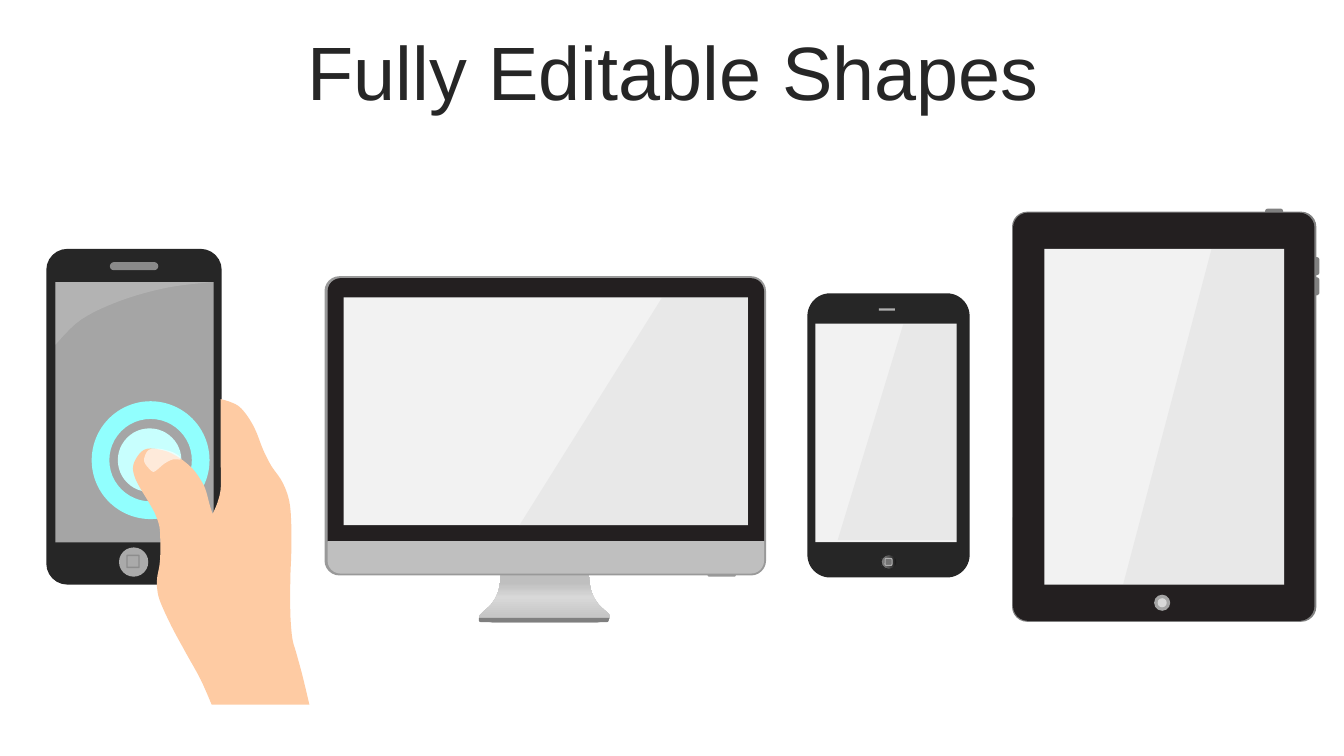
"""Build a slide of four device mock-ups: touch phone, monitor, phone and tablet."""
from dataclasses import dataclass
from typing import Optional, Union

from lxml.etree import SubElement
from pptx import Presentation
from pptx.dml.color import RGBColor
from pptx.enum.shapes import MSO_SHAPE
from pptx.enum.text import MSO_ANCHOR, PP_ALIGN
from pptx.oxml.ns import qn
from pptx.util import Pt

WHITE = RGBColor(0xFF, 0xFF, 0xFF)
PALE = RGBColor(0xF2, 0xF2, 0xF2)
MIST = RGBColor(0xEC, 0xEC, 0xEC)
LIGHT = RGBColor(0xD8, 0xD8, 0xD8)
SILVER = RGBColor(0xBF, 0xBF, 0xBF)
ASH = RGBColor(0xB0, 0xB0, 0xB0)
GREY = RGBColor(0xA5, 0xA5, 0xA5)
STEEL = RGBColor(0x99, 0x99, 0x99)
SLATE = RGBColor(0x80, 0x80, 0x80)
SHADE = RGBColor(0x7F, 0x7F, 0x7F)
ICON_GREY = RGBColor(0x73, 0x73, 0x73)
GRAPHITE = RGBColor(0x59, 0x59, 0x59)
INK = RGBColor(0x26, 0x26, 0x26)
BEZEL = RGBColor(0x23, 0x1F, 0x20)
NEAR_BLACK = RGBColor(0x0F, 0x0F, 0x0F)
AQUA = RGBColor(0x91, 0xFF, 0xFE)
PALE_AQUA = RGBColor(0xC8, 0xFF, 0xFE)
SKIN = RGBColor(0xFE, 0xCB, 0xA3)

RECTANGLE = MSO_SHAPE.RECTANGLE
ROUNDED = MSO_SHAPE.ROUNDED_RECTANGLE
HALF_ROUNDED = MSO_SHAPE.ROUND_2_SAME_RECTANGLE
OVAL = MSO_SHAPE.OVAL
CURVE_STEPS = 6
Point = tuple[float, float]


@dataclass(frozen=True)
class Paint:
    """A solid colour with an opacity in percent."""
    colour: RGBColor
    opacity: int = 100


@dataclass(frozen=True)
class Gradient:
    """A linear gradient with stops in percent."""
    stops: tuple[tuple[int, RGBColor], ...]
    angle: int


@dataclass(frozen=True)
class Border:
    """An outline with its width in points."""
    paint: Paint
    width: float


@dataclass(frozen=True)
class Part:
    """A preset shape placed by left, top, width and height in points."""
    kind: MSO_SHAPE
    box: tuple[float, float, float, float]
    fill: Optional[Union[Paint, Gradient]]
    adjustments: tuple[float, ...] = ()
    border: Optional[Border] = None


@dataclass(frozen=True)
class Outline:
    """A closed outline made of smooth runs of points."""
    runs: list[list[Point]]
    fill: Union[Paint, Gradient]


def apply_paint(fill_format, paint: Paint) -> None:
    """Set a solid colour and its opacity."""
    fill_format.solid()
    fill_format.fore_color.rgb = paint.colour
    if paint.opacity < 100:
        colour_element = fill_format._xPr.find(".//" + qn("a:srgbClr"))
        SubElement(colour_element, qn("a:alpha"), val=str(paint.opacity * 1000))


def apply_gradient(shape, gradient: Gradient) -> None:
    """Fill a shape with every stop of a gradient."""
    shape.fill.gradient()
    shape.fill.gradient_angle = gradient.angle
    stop_list = shape._element.spPr.find(".//" + qn("a:gsLst"))
    for stop in list(stop_list):
        stop_list.remove(stop)
    for position, colour in gradient.stops:
        stop = SubElement(stop_list, qn("a:gs"), pos=str(position * 1000))
        SubElement(stop, qn("a:srgbClr"), val=str(colour))


def smooth(run: list[Point]) -> list[Point]:
    """Return points on a Catmull-Rom curve through a run."""
    padded = [run[0], *run, run[-1]]
    points = [run[0]]
    for a, b, c, d in zip(padded, padded[1:], padded[2:], padded[3:]):
        for step in range(1, CURVE_STEPS + 1):
            t = step / CURVE_STEPS
            points.append(tuple(
                b[i] + t / 2 * (c[i] - a[i]
                + t * (2 * a[i] - 5 * b[i] + 4 * c[i] - d[i])
                + t * t * (3 * b[i] - a[i] - 3 * c[i] + d[i]))
                for i in range(2)))
    return points


def draw(shapes, item: Union[Part, Outline]) -> None:
    """Draw one part or outline."""
    if isinstance(item, Part):
        shape = shapes.add_shape(item.kind, *map(Pt, item.box))
        for index, value in enumerate(item.adjustments):
            shape.adjustments[index] = value
        border = item.border
    else:
        points = [(Pt(x), Pt(y)) for run in item.runs for x, y in smooth(run)]
        builder = shapes.build_freeform(*points[0])
        builder.add_line_segments(points[1:], close=True)
        shape = builder.convert_to_shape()
        border = None
    shape.shadow.inherit = False
    if isinstance(item.fill, Gradient):
        apply_gradient(shape, item.fill)
    elif item.fill:
        apply_paint(shape.fill, item.fill)
    else:
        shape.fill.background()
    if border:
        apply_paint(shape.line.fill, border.paint)
        shape.line.width = Pt(border.width)
    else:
        shape.line.fill.background()


def glare(top_left: float, bottom_left: float, right: float, top: float, bottom: float) -> Outline:
    """Return the slanted reflection of a screen."""
    corners = [(top_left, top), (right, top), (right, bottom), (bottom_left, bottom)]
    return Outline([[corner] for corner in corners], Paint(STEEL, 10))


def add_title(slide, text: str) -> None:
    """Add the centred slide title."""
    box = slide.shapes.add_textbox(Pt(25.2), Pt(25.9), Pt(911.5), Pt(56.9))
    paragraph = box.text_frame.paragraphs[0]
    run = paragraph.add_run()
    run.text = text
    formats = {
        box.text_frame: {"word_wrap": True, "vertical_anchor": MSO_ANCHOR.MIDDLE},
        paragraph: {"alignment": PP_ALIGN.CENTER, "line_spacing": 0.9},
        run.font: {"name": "Arial", "size": Pt(54)},
        run.font.color: {"rgb": INK},
    }
    for target, values in formats.items():
        for name, value in values.items():
            setattr(target, name, value)


STAND_CENTRE = 389.2
STAND_LEFT = [(357.8, 410.4), (356.9, 418.5), (354.8, 425.4), (350.6, 432), (342.2, 440.9), (352.1, 445)]
STAND_RIGHT = [(2 * STAND_CENTRE - x, y) for x, y in reversed(STAND_LEFT)]
STAND_GRADIENT = Gradient(((0, SILVER), (53, LIGHT), (83, SILVER), (100, SILVER)), 90)
BUTTON_GRADIENT = Gradient(((0, NEAR_BLACK), (56, GRAPHITE), (91, SHADE), (100, SILVER)), 180)

HAND_BACK = [
    (157.7, 285.1), (164.9, 287.3), (171.4, 290.9), (177.8, 298.8), (182.9, 308.2), (187.9, 321.1),
    (193.7, 332.6), (201.6, 344.2), (206.6, 357.8), (208.1, 375.1), (208.1, 394.6), (207.4, 413.3),
    (207.4, 437.8), (208.8, 455.8), (211.7, 466.6), (216, 482.4), (221, 503.3)]
THUMB = [
    (151.2, 503.3), (143.3, 485.3), (132.5, 465.8), (122.4, 447.1), (114.5, 429.8), (112.3, 420.5),
    (112.3, 412.6), (113.8, 404.6), (114.5, 396.7), (114.5, 384.5), (113.8, 375.8), (110.9, 367.2),
    (106.6, 359.3), (100.1, 348.5), (96.5, 341.3), (95, 334.1), (97.2, 327.6), (102.2, 321.8),
    (108.7, 320.4), (119.5, 322.6), (128.9, 327.6), (137.5, 334.8), (143.3, 342.7), (146.9, 349.9),
    (149.8, 360.7), (151.9, 367.2)]
PALM_EDGE = [(151.9, 367.2), (155.5, 358.6), (157.7, 348.5), (157.7, 331.2), (157.7, 288)]
NAIL = [
    (128.9, 328.3), (123.1, 328.3), (117.4, 331.2), (112.3, 335.5), (109.4, 337), (106.6, 334.8),
    (103.7, 331.2), (103, 327.6), (105.8, 321.8), (112.3, 320.4), (122.4, 322.6), (128.9, 326.2)]
GLOSS = [(150.5, 201.6), (119.8, 205.4), (86.9, 214.5), (58.1, 228.2), (39.6, 246.2)]

MONITOR = [
    Outline([STAND_LEFT, STAND_RIGHT], STAND_GRADIENT),
    Part(ROUNDED, (231.8, 197.3, 315.4, 213.8), Paint(STEEL), (0.05,)),
    Part(HALF_ROUNDED, (505.4, 409.7, 20.2, 2.2), Paint(STEEL), (0, 0.5)),
    Part(HALF_ROUNDED, (234, 198.7, 311.8, 188), Paint(BEZEL), (0.05, 0)),
    Part(HALF_ROUNDED, (342, 441.4, 92.9, 3), Paint(SHADE), (0, 0.5)),
    Part(HALF_ROUNDED, (234, 386.6, 311.8, 23.1), Paint(SILVER), (0, 0.4)),
    Part(RECTANGLE, (245.5, 212.4, 288.8, 162.8), Paint(PALE)),
    glare(473, 370.8, 534.6, 212.4, 375.5),
]
TABLET = [
    Part(ROUNDED, (903.6, 149, 13, 4.3), Paint(SLATE), (0.5,)),
    *(Part(ROUNDED, (938.2, top, 4.3, 13), Paint(SLATE), (0.5,)) for top in (183.6, 198)),
    Part(ROUNDED, (722.9, 151.2, 217.4, 293), Paint(SLATE), (0.05,)),
    Part(ROUNDED, (723.6, 151.9, 215.3, 291.6), Paint(BEZEL), (0.05,)),
    Part(RECTANGLE, (745.9, 177.8, 171.4, 239.8), Paint(PALE)),
    glare(865.4, 802.1, 917.5, 177.8, 418),
    Part(OVAL, (824.4, 424.8, 11.5, 11.5), Paint(GREY)),
    Part(OVAL, (826.9, 427.3, 6.5, 6.5), Paint(LIGHT)),
]
PHONE = [
    Part(ROUNDED, (576.7, 209.5, 115.9, 203), Paint(INK), (0.14,)),
    Part(RECTANGLE, (627.8, 220.3, 11.5, 1.6), Paint(ASH)),
    Part(OVAL, (629.3, 396, 11.5, 10.8), BUTTON_GRADIENT, border=Border(Paint(INK), 1)),
    Part(ROUNDED, (632.2, 398.9, 5, 5), Paint(ICON_GREY), (0.17,), Border(Paint(ASH), 0.75)),
    Part(RECTANGLE, (582.5, 231.1, 100.8, 156.2), Paint(PALE)),
    glare(645.1, 598.3, 683.3, 231.8, 385.9),
]
TOUCH_PHONE = [
    Part(ROUNDED, (33.1, 177.8, 125.3, 239.8), Paint(INK), (0.12,)),
    Part(RECTANGLE, (39.6, 201.6, 113, 185.8), Paint(GREY)),
    Part(ROUNDED, (78.5, 187.2, 34.6, 5.8), Paint(MIST, 51), (0.5,)),
    Part(OVAL, (85, 391, 20.9, 20.9), Paint(MIST, 67)),
    Part(RECTANGLE, (90.7, 396.7, 8.6, 8.6), None, border=Border(Paint(INK, 22), 1)),
    Outline([[(39.6, 201.6)], GLOSS], Paint(WHITE, 16)),
    Part(OVAL, (84.2, 306, 45.4, 45.4), Paint(PALE_AQUA)),
    Part(MSO_SHAPE.DONUT, (65.5, 286.6, 84.2, 84.2), Paint(AQUA), (0.15,)),
    Outline([HAND_BACK, THUMB, PALM_EDGE], Paint(SKIN)),
    Outline([NAIL], Paint(WHITE, 60)),
]

presentation = Presentation()
presentation.slide_width, presentation.slide_height = Pt(960), Pt(540)
slide = presentation.slides.add_slide(presentation.slide_layouts[6])
add_title(slide, "Fully Editable Shapes")
for device in (MONITOR, TABLET, PHONE, TOUCH_PHONE):
    group = slide.shapes.add_group_shape()
    for item in device:
        draw(group.shapes, item)
presentation.save("out.pptx")
